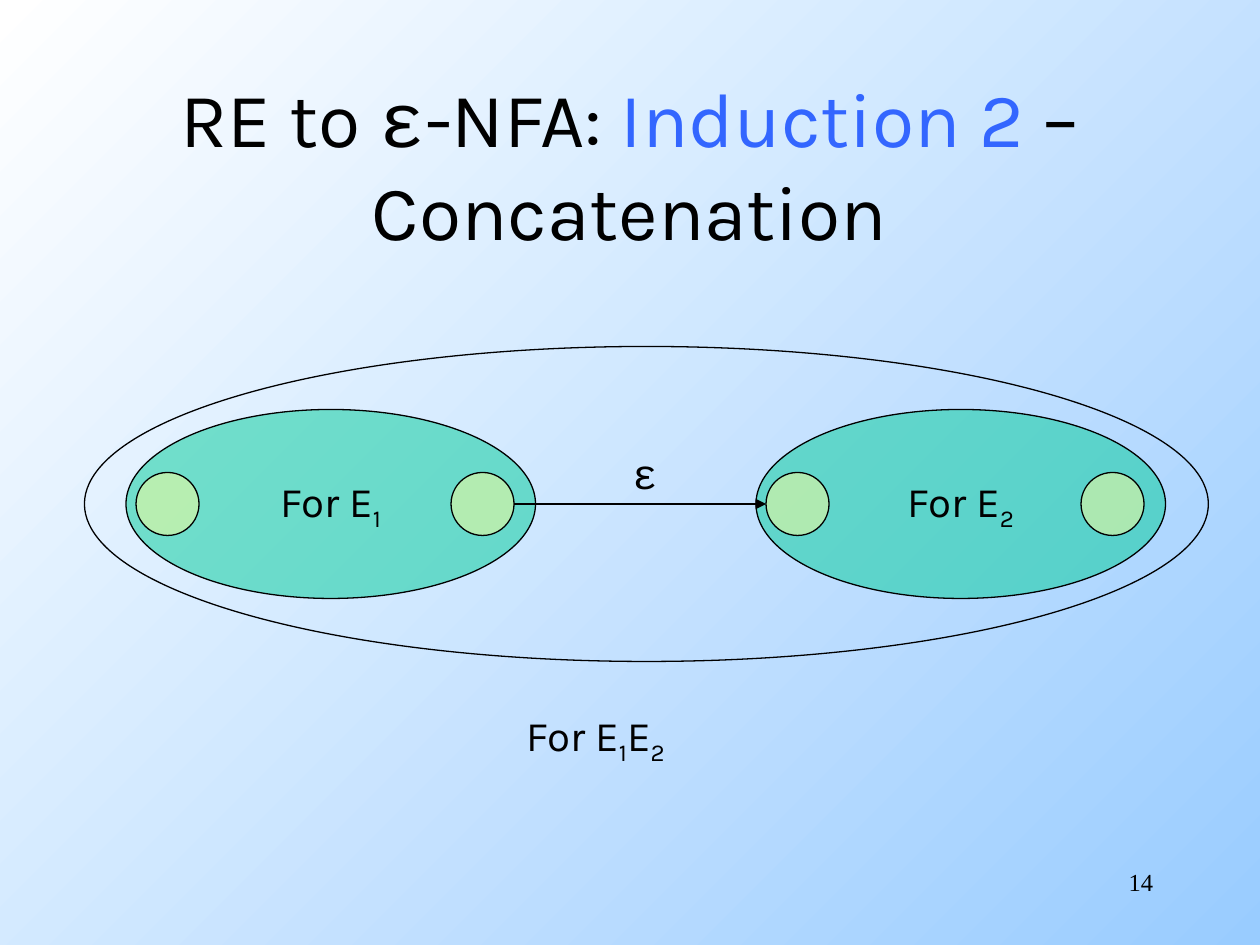
from dataclasses import dataclass

from lxml import etree
from pptx import Presentation
from pptx.dml.color import RGBColor
from pptx.enum import shapes, text
from pptx.oxml import ns
from pptx.util import Inches, Pt


@dataclass(frozen=True)
class Theme:
    ink: RGBColor = RGBColor(0, 0, 0)
    accent: RGBColor = RGBColor(0x33, 0x66, 0xFF)
    machine: RGBColor = RGBColor(0x00, 0xCC, 0x99)
    state: RGBColor = RGBColor(0xFF, 0xFF, 0x99)
    light: RGBColor = RGBColor(0xFF, 0xFF, 0xFF)
    deep: RGBColor = RGBColor(0x99, 0xCC, 0xFF)
    sans: str = "Karla"
    greek: str = "Courier New"
    serif: str = "Times New Roman"
    head: int = 44
    label: int = 24
    small: int = 14
    rule: float = 0.75


T = Theme()
MID = 4        # height of the row of states
STATE = 0.5    # diameter of a state


def style(para, size=T.label, face=T.sans, align=None):
    para.font.size, para.font.name = Pt(size), face
    para.font.color.rgb = T.ink
    para.alignment = align


def formula(para, parts):
    """Write the parts; those that are digits become subscripts."""
    for part in parts:
        run = para.add_run()
        run.text = part
        if part.isdigit():
            run._r.get_or_add_rPr().set("baseline", "-25000")


def oval(parent, x, y, w, h, color=None):
    shape = parent.shapes.add_shape(
        shapes.MSO_SHAPE.OVAL, Inches(x), Inches(y), Inches(w), Inches(h))
    shape.shadow.inherit = False
    shape.line.color.rgb, shape.line.width = T.ink, Pt(T.rule)
    if color is None:
        shape.fill.background()
    else:
        shape.fill.solid()
        shape.fill.fore_color.rgb = color
        tint = shape.fill._xPr.find(".//" + ns.qn("a:srgbClr"))
        etree.SubElement(tint, ns.qn("a:alpha"), val="50000")
    return shape


def machine(slide, x, digit):
    """An automaton with its start and final states."""
    group = slide.shapes.add_group_shape()
    body = oval(group, x, MID - 0.75, 3.25, 1.5, T.machine)
    frame = body.text_frame
    frame.word_wrap = False
    frame.vertical_anchor = text.MSO_ANCHOR.MIDDLE
    style(frame.paragraphs[0], align=text.PP_ALIGN.CENTER)
    formula(frame.paragraphs[0], ["For E", digit])
    for left in (x + 2.58, x + 0.08):
        oval(group, left, MID - STATE / 2, STATE, STATE, T.state)


def note(slide, x, y, w, parts, wrap=False, **look):
    box = slide.shapes.add_textbox(Inches(x), Inches(y), Inches(w), Inches(0.5))
    box.text_frame.word_wrap = wrap
    para = box.text_frame.paragraphs[0]
    style(para, **look)
    if wrap:
        para.text = parts
    else:
        formula(para, parts)


def arrow(slide, x1, x2, y):
    line = slide.shapes.add_connector(
        shapes.MSO_CONNECTOR.STRAIGHT, Inches(x1), Inches(y), Inches(x2), Inches(y))
    line.line.color.rgb, line.line.width = T.ink, Pt(T.rule)
    etree.SubElement(line.line._get_or_add_ln(), ns.qn("a:tailEnd"), type="triangle")
    etree.SubElement(line._element.spPr, ns.qn("a:effectLst"))


def heading(slide):
    title = slide.shapes.title
    title.left, title.top = Inches(0), Inches(0.67)
    title.width, title.height = Inches(10), Inches(1.25)
    frame = title.text_frame
    frame.auto_size = text.MSO_AUTO_SIZE.NONE
    frame.vertical_anchor = text.MSO_ANCHOR.MIDDLE
    para = frame.paragraphs[0]
    style(para, T.head, align=text.PP_ALIGN.CENTER)
    for words, face, color in (
        ("RE to ", T.sans, T.ink),
        ("ε", T.greek, T.ink),
        ("-NFA: ", T.sans, T.ink),
        ("Induction 2", T.sans, T.accent),
        (" – Concatenation", T.sans, T.ink),
    ):
        run = para.add_run()
        run.text = words
        run.font.name, run.font.color.rgb = face, color


def backdrop(slide):
    fill = slide.background.fill
    fill.gradient()
    fill.gradient_angle = 315
    for stop, color, place in zip(fill.gradient_stops, (T.light, T.deep), (0, 1)):
        stop.color.rgb, stop.position = color, place


def main():
    deck = Presentation()
    deck.slide_width, deck.slide_height = Inches(10), Inches(7.5)
    slide = deck.slides.add_slide(deck.slide_layouts[5])
    backdrop(slide)

    # Slide number and title
    note(slide, 7.17, 6.83, 2.08, "14", wrap=True, size=T.small,
         face=T.serif, align=text.PP_ALIGN.RIGHT)
    heading(slide)

    # The two automata
    for x, digit in ((1, "1"), (6, "2")):
        machine(slide, x, digit)

    # The combined automaton
    oval(slide, 0.67, MID - 1.25, 8.92, 2.5)
    note(slide, 4.08, 5.58, 1.4, ["For E", "1", "E", "2"])

    # The joining transition
    arrow(slide, 4.08, 6.08, MID)
    note(slide, 4.92, 3.5, 0.38, ["ε"], face=T.greek)

    deck.save("out.pptx")


if __name__ == "__main__":
    main()
